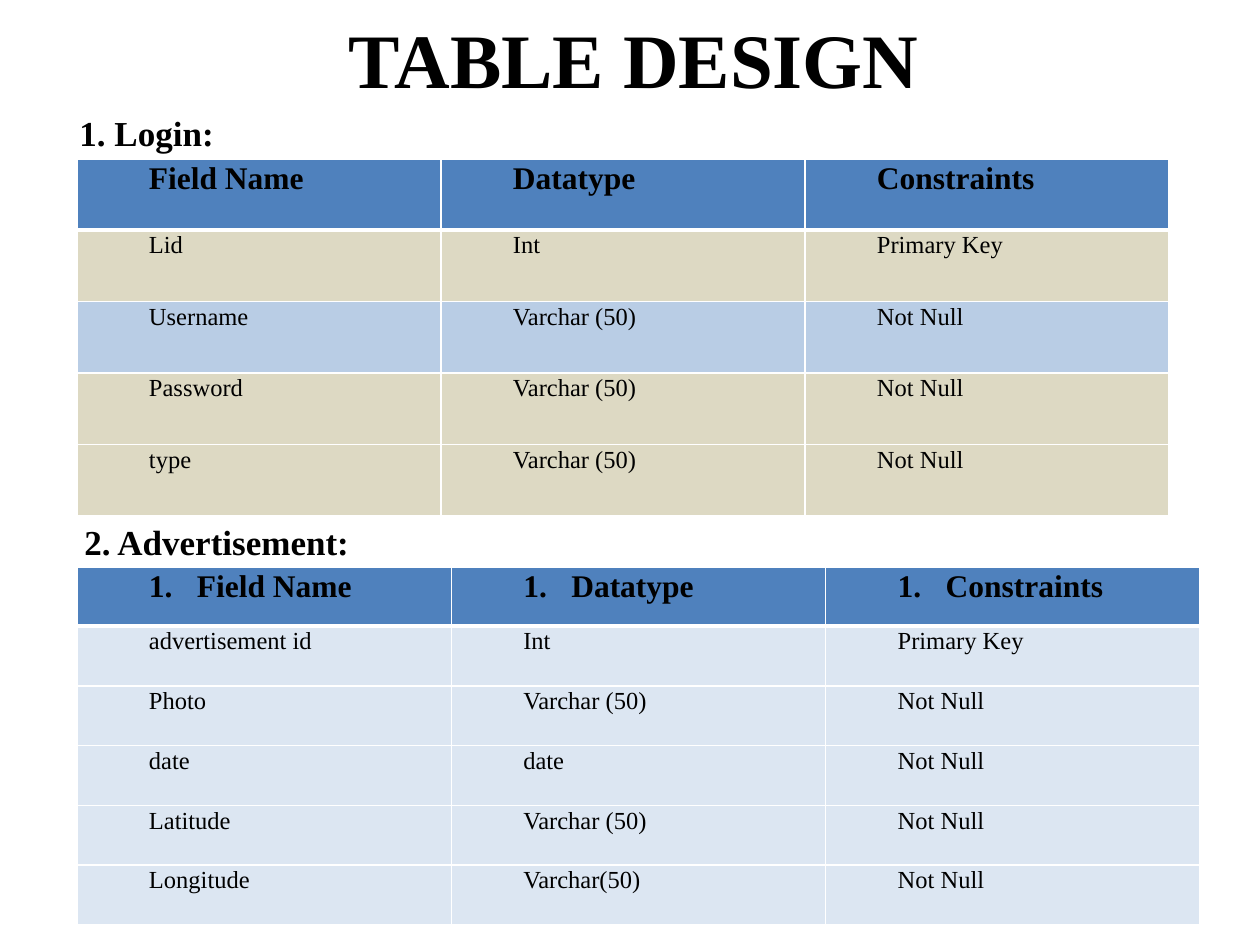
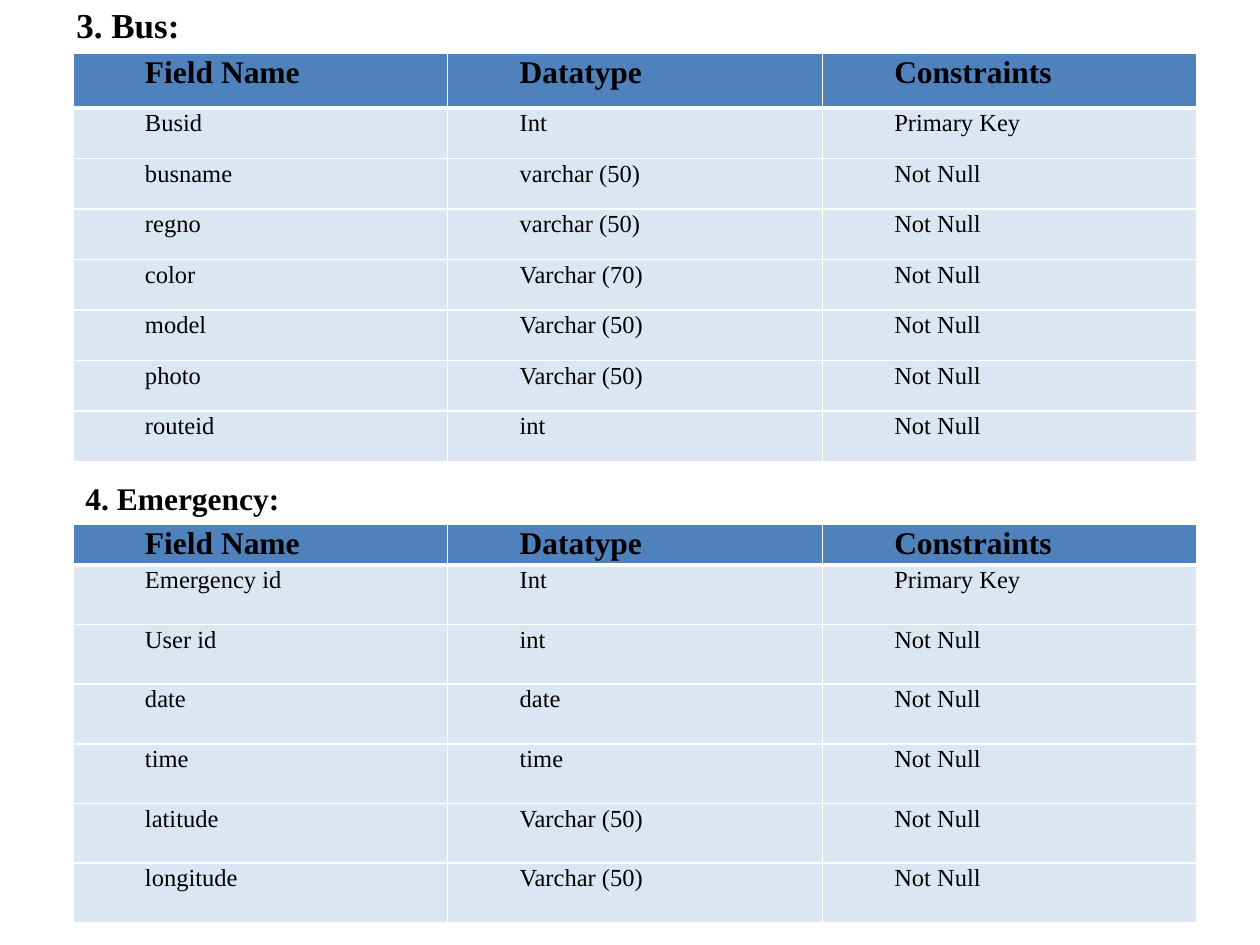
import dataclasses
import typing

import lxml.etree
import pptx
import pptx.dml.color
import pptx.enum.text
import pptx.oxml.ns
import pptx.util

SCALE = 914400 / 126


@dataclasses.dataclass(frozen=True)
class Theme:
    font: str = "Times New Roman"
    ink: str = "000000"
    line: str = "FFFFFF"
    head: str = "4F81BD"
    pale: str = "DCE6F2"
    sand: str = "DDD9C3"
    sky: str = "B9CDE5"
    title: int = 44
    label: int = 20
    small: int = 18
    body: int = 14
    thin: int = 1
    thick: int = 3


THEME = Theme()


class Box(typing.NamedTuple):
    left: int
    top: int
    width: int
    height: int


class Label(typing.NamedTuple):
    text: str
    box: Box
    size: int = THEME.label
    title: bool = False


class Sheet(typing.NamedTuple):
    box: Box
    head: int
    rows: list[tuple[str, str, str]]
    fills: tuple[str, ...] = ()
    numbered: bool = False


HEADS = ("Field Name", "Datatype", "Constraints")
KEY = "Primary Key"
FULL = "Not Null"
TEXT = "Varchar (50)"

PAGES: list[list[Label | Sheet]] = [
    [
        Label("TABLE DESIGN", Box(67, -21, 1134, 157), THEME.title, True),
        Label("1. Login:", Box(67, 105, 1134, 624)),
        Sheet(
            Box(77, 159, 1092, 357), 71,
            [
                ("Lid", "Int", KEY),
                ("Username", TEXT, FULL),
                ("Password", TEXT, FULL),
                ("type", TEXT, FULL),
            ],
            fills=(THEME.sand, THEME.sky, THEME.sand, THEME.sand),
        ),
        Label("2. Advertisement:", Box(72, 514, 1134, 861)),
        Sheet(
            Box(77, 567, 1123, 358), 59,
            [
                ("advertisement id", "Int", KEY),
                ("Photo", TEXT, FULL),
                ("date", "date", FULL),
                ("Latitude", TEXT, FULL),
                ("Longitude", "Varchar(50)", FULL),
            ],
            numbered=True,
        ),
    ],
    [
        Label("3. Bus:", Box(64, -3, 1134, 649)),
        Sheet(
            Box(73, 53, 1124, 409), 55,
            [
                ("Busid", "Int", KEY),
                ("busname", "varchar (50)", FULL),
                ("regno", "varchar (50)", FULL),
                ("color", "Varchar (70)", FULL),
                ("model", TEXT, FULL),
                ("photo", TEXT, FULL),
                ("routeid", "int", FULL),
            ],
        ),
        Sheet(
            Box(73, 524, 1124, 399), 41,
            [
                ("Emergency id", "Int", KEY),
                ("User id", "int", FULL),
                ("date", "date", FULL),
                ("time", "time", FULL),
                ("latitude", TEXT, FULL),
                ("longitude", TEXT, FULL),
            ],
        ),
        Label("4. Emergency:", Box(73, 473, 630, 89), THEME.small),
    ],
]


def px(count: float) -> int:
    return round(count * SCALE)


def place(box: Box) -> list[int]:
    return [px(side) for side in box]


def node(parent: typing.Any, tag: str, **attrs: typing.Any) -> typing.Any:
    values = {name: str(value) for name, value in attrs.items()}
    return lxml.etree.SubElement(parent, pptx.oxml.ns.qn(tag), values)


def style(para: typing.Any, size: int, bold: bool) -> None:
    para.font.name = THEME.font
    para.font.size = pptx.util.Pt(size)
    para.font.bold = bold
    para.font.color.rgb = pptx.dml.color.RGBColor.from_string(THEME.ink)


def add_label(slide: typing.Any, label: Label) -> None:
    frame = slide.shapes.add_textbox(*place(label.box)).text_frame
    frame.word_wrap = True
    para = frame.paragraphs[0]
    para.text = label.text
    if label.title:
        frame.vertical_anchor = pptx.enum.text.MSO_ANCHOR.MIDDLE
        para.alignment = pptx.enum.text.PP_ALIGN.CENTER
    style(para, label.size, True)


def add_edges(cell: typing.Any, row: int) -> None:
    props = cell._tc.get_or_add_tcPr()
    for side in "LRTB":
        heavy = (row, side) in ((0, "B"), (1, "T"))
        width = pptx.util.Pt(THEME.thick if heavy else THEME.thin)
        edge = node(props, f"a:ln{side}", w=int(width))
        node(node(edge, "a:solidFill"), "a:srgbClr", val=THEME.line)


def fill_cell(cell: typing.Any, text: str, row: int, last: bool,
              fill: str, numbered: bool) -> None:
    cell.margin_left = cell.margin_right = px(9)
    cell.margin_top = cell.margin_bottom = 0
    add_edges(cell, row)
    cell.fill.solid()
    cell.fill.fore_color.rgb = pptx.dml.color.RGBColor.from_string(fill)
    para = cell.text_frame.paragraphs[0]
    para.text = text
    para.line_spacing = 1.07
    if last:
        para.space_after = pptx.util.Pt(8)
    props = para._p.get_or_add_pPr()
    props.set("marL", str(px(111 if numbered else 63)))
    props.set("indent", str(px(-48 if numbered else 0)))
    if numbered:
        node(props, "a:buFont", typeface="+mj-lt")
        node(props, "a:buAutoNum", type="arabicPeriod")
    style(para, THEME.body if row else THEME.small, row == 0)


def add_sheet(slide: typing.Any, sheet: Sheet) -> None:
    rows = [HEADS, *sheet.rows]
    fills = (THEME.head, *(sheet.fills or (THEME.pale,) * len(sheet.rows)))
    table = slide.shapes.add_table(
        len(rows), len(HEADS), *place(sheet.box)).table
    for column in table.columns:
        column.width = px(sheet.box.width / len(HEADS))
    step = (sheet.box.height - sheet.head) / len(sheet.rows)
    for row, texts in enumerate(rows):
        table.rows[row].height = px(step if row else sheet.head)
        for col, text in enumerate(texts):
            fill_cell(table.cell(row, col), text, row,
                      col == len(HEADS) - 1, fills[row],
                      sheet.numbered and row == 0)


def main() -> None:
    deck = pptx.Presentation()
    deck.slide_width, deck.slide_height = px(1260), px(945)
    for page in PAGES:
        slide = deck.slides.add_slide(deck.slide_layouts[6])
        for item in page:
            if isinstance(item, Label):
                add_label(slide, item)
            else:
                add_sheet(slide, item)
    deck.save("out.pptx")


if __name__ == "__main__":
    main()
